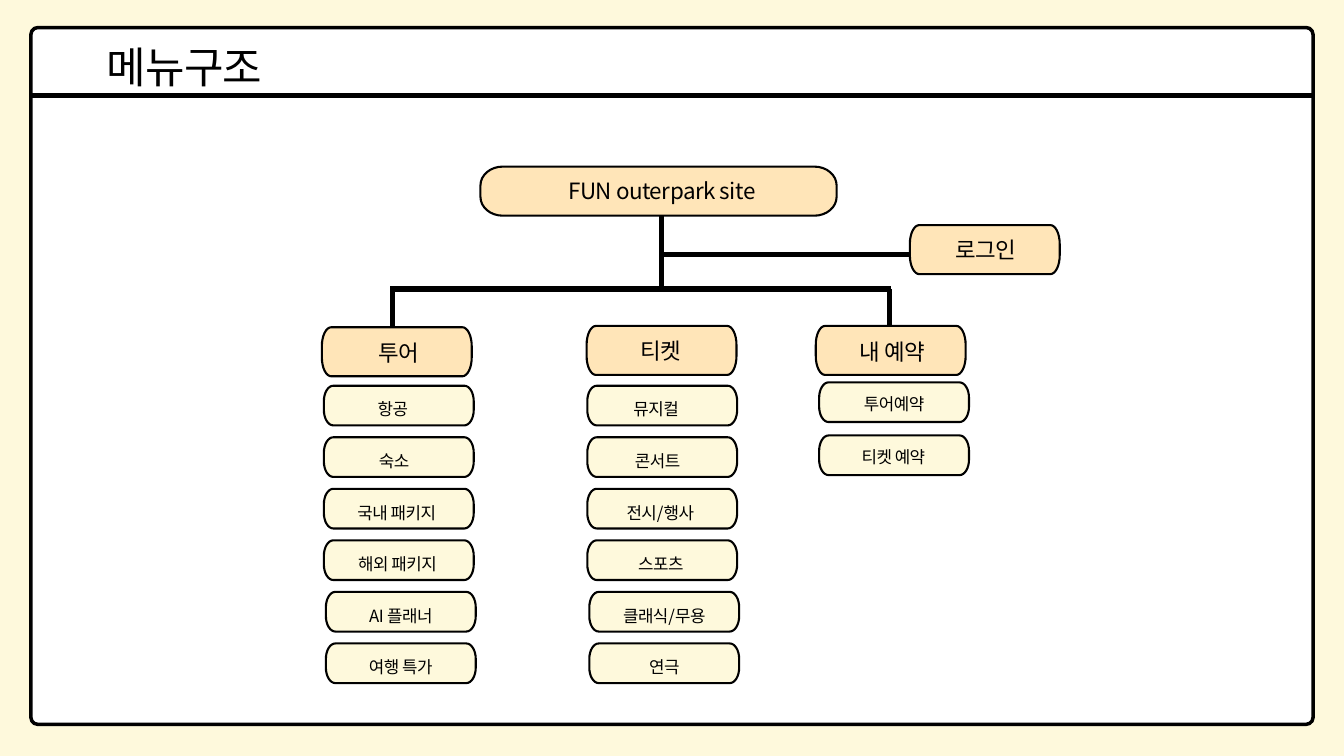
import math

from lxml import etree
from pptx import Presentation
from pptx.dml.color import RGBColor
from pptx.enum import shapes, text
from pptx.oxml import ns
from pptx.util import Inches, Pt

CREAM = RGBColor(0xFE, 0xF9, 0xDC)
PEACH = RGBColor(0xFF, 0xE5, 0xB8)
WHITE = RGBColor(0xFF, 0xFF, 0xFF)
BLACK = RGBColor(0x00, 0x00, 0x00)
FONT = "Noto Sans CJK KR"

BOX_W = 2.23
HEAD_H = 0.73
ITEM_H = 0.59
ITEM_TOP = 5.74
ITEM_PITCH = 0.767
BOX_SHIFTS = [0, 0, 0, 0, 0.03, 0.03]
LABEL_SHIFTS = [0.22, 0.24, 0.28, 0.29, 0.34, 0.34]

HEADS = [
    ("투어", 4.79, 4.87, 5.14, 4.98, 1.58),
    ("내 예약", 12.14, 4.85, 12.16, 4.96, 2.23),
    ("티켓", 8.73, 4.85, 9.06, 4.95, 1.56),
    ("로그인", 13.54, 3.35, 13.65, 3.44, 2.05),
]
MENUS = [
    (4.82, ["항공", "숙소", "국내 패키지", "해외 패키지", "AI 플래너", "여행 특가"]),
    (8.74, ["뮤지컬", "콘서트", "전시/행사", "스포츠", "클래식/무용", "연극"]),
]
BOOKINGS = [
    ("투어예약", 5.69, 12.47, 1.67),
    ("티켓 예약", 6.48, 12.38, 1.83),
]
BRANCHES = [
    (9.84, 3.21, 9.84, 4.3),
    (9.84, 3.79, 13.54, 3.79),
    (5.81, 4.3, 13.26, 4.3),
    (13.24, 4.3, 13.24, 4.85),
    (5.84, 4.3, 5.84, 4.87),
]


def paint(sp, fill, width):
    sp.shadow.inherit = False
    sp.fill.solid()
    sp.fill.fore_color.rgb = fill
    sp.line.color.rgb = BLACK
    sp.line.width = Pt(width)


def write(sp, words, size, leading, spacing):
    tf = sp.text_frame
    tf.margin_left = tf.margin_top = tf.margin_right = tf.margin_bottom = 0
    tf.word_wrap = True
    tf.auto_size = text.MSO_AUTO_SIZE.SHAPE_TO_FIT_TEXT
    tf.vertical_anchor = text.MSO_ANCHOR.TOP
    p = tf.paragraphs[0]
    p.alignment = text.PP_ALIGN.CENTER
    p.line_spacing = Pt(leading)
    r = p.add_run()
    r.text = words
    r.font.size = Pt(size)
    r.font.color.rgb = BLACK
    r.font.name = FONT
    rpr = r.font._element
    rpr.set("spc", str(spacing))
    etree.SubElement(rpr, ns.qn("a:ea")).set("typeface", FONT)


def add_label(s, words, left, top, width, height, size, leading):
    sp = s.shapes.add_textbox(Inches(left), Inches(top), Inches(width), Inches(height))
    write(sp, words, size, leading, -50)


def add_box(s, left, top, width, height, rx, ry, fill):
    corners = [
        (left + width - rx, top + height - ry),
        (left + rx, top + height - ry),
        (left + rx, top + ry),
        (left + width - rx, top + ry),
    ]
    points = []
    for quarter, (cx, cy) in enumerate(corners):
        for step in range(9):
            angle = math.pi / 2 * (quarter + step / 8)
            points.append((Inches(cx + rx * math.cos(angle)),
                           Inches(cy + ry * math.sin(angle))))
    builder = s.shapes.build_freeform(*points[0])
    builder.add_line_segments(points[1:], close=True)
    paint(builder.convert_to_shape(), fill, 2.25)


def add_line(s, x1, y1, x2, y2, width):
    line = s.shapes.add_connector(shapes.MSO_CONNECTOR.STRAIGHT,
                                  Inches(x1), Inches(y1), Inches(x2), Inches(y2))
    line.line.color.rgb = BLACK
    line.line.width = Pt(width)
    etree.SubElement(line._element.spPr, ns.qn("a:effectLst"))
    return line


def add_head(s, words, left, top, label_left, label_top, label_width):
    add_box(s, left, top, BOX_W, HEAD_H, 0.14, 0.28, PEACH)
    add_label(s, words, label_left, label_top, label_width, 0.45, 24, 33.6)


def add_item(s, words, left, top, label_left, label_top, label_width):
    add_box(s, left, top, BOX_W, ITEM_H, 0.14, 0.23, CREAM)
    add_label(s, words, label_left, label_top, label_width, 0.36, 18, 28.8)


def add_menu(s, left, items):
    for row, words in enumerate(items):
        top = ITEM_TOP + row * ITEM_PITCH
        add_item(s, words, left + BOX_SHIFTS[row], top,
                 left + LABEL_SHIFTS[row], top + 0.1, 1.61)


def add_window(s):
    frame = s.shapes.add_shape(shapes.MSO_SHAPE.ROUNDED_RECTANGLE,
                               Inches(0.46), Inches(0.41), Inches(19.08), Inches(10.37))
    frame.adjustments[0] = 0.01
    paint(frame, WHITE, 3.75)
    return add_line(s, 0.46, 1.42, 19.54, 1.42, 4.96)


def add_title(s, words, rule):
    title = s.shapes.title
    title.left, title.top = Inches(-1.91), Inches(0.48)
    title.width, title.height = Inches(9.31), Inches(0.86)
    write(title, words, 46, 64.4, -90)
    rule._element.addnext(title._element)


def main():
    prs = Presentation()
    prs.slide_width, prs.slide_height = Inches(20), Inches(11.25)
    s = prs.slides.add_slide(prs.slide_layouts[5])
    s.background.fill.solid()
    s.background.fill.fore_color.rgb = CREAM

    add_title(s, "메뉴구조", add_window(s))
    add_box(s, 7.15, 2.48, 5.3, HEAD_H, 0.33, 0.28, PEACH)
    add_label(s, "FUN outerpark site", 7.41, 2.57, 4.88, 0.45, 24, 33.6)
    for head in HEADS:
        add_head(s, *head)
    for left, items in MENUS:
        add_menu(s, left, items)
    for words, top, label_left, label_width in BOOKINGS:
        add_item(s, words, 12.19, top, label_left, top + 0.07, label_width)
    for branch in BRANCHES:
        add_line(s, *branch, 5.6)
    prs.save("out.pptx")


if __name__ == "__main__":
    main()
